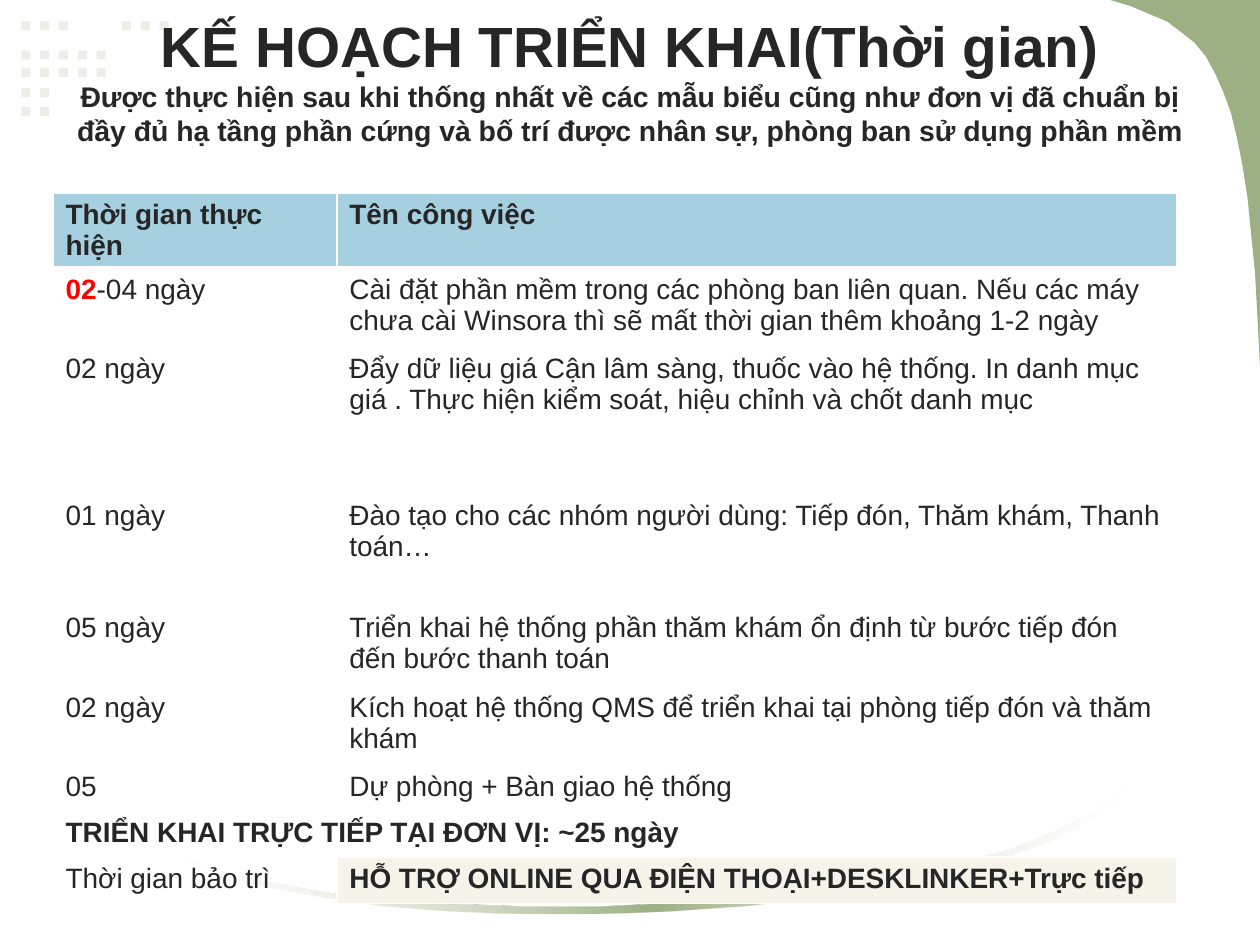
from dataclasses import dataclass

from lxml import etree
from pptx import Presentation
from pptx.dml.color import RGBColor
from pptx.enum.text import MSO_ANCHOR, MSO_AUTO_SIZE, PP_ALIGN
from pptx.enum.shapes import MSO_SHAPE
from pptx.oxml import parse_xml
from pptx.oxml.ns import nsdecls, qn
from pptx.util import Cm, Pt


@dataclass(frozen=True)
class Theme:
    """Colours and type sizes of the slide."""
    font: str = "Arial"
    text: str = "262626"
    alert: str = "FF0000"
    green: str = "9CB084"
    dot: str = "EBEFE6"
    header: str = "A6D0DF"
    support: str = "F6F3EA"
    white: str = "FFFFFF"
    title_size: float = 32.4
    subtitle_size: float = 16.2
    table_size: float = 16


THEME = Theme()

TITLE = "KẾ HOẠCH TRIỂN KHAI(Thời gian)"
SUBTITLE = ("Được thực hiện sau khi thống nhất về các mẫu biểu cũng như đơn vị đã chuẩn bị "
            "đầy đủ hạ tầng phần cứng và bố trí được nhân sự, phòng ban sử dụng phần mềm")

HEADER = ("Thời gian thực hiện", "Tên công việc")
# Duration, task, row height in cm
TASKS = [
    ("02-04 ngày", "Cài đặt phần mềm trong các phòng ban liên quan. Nếu các máy "
                   "chưa cài Winsora thì sẽ mất thời gian thêm khoảng 1-2 ngày", 1.6),
    ("02 ngày", "Đẩy dữ liệu giá Cận lâm sàng, thuốc vào hệ thống. In danh mục "
                "giá . Thực hiện kiểm soát, hiệu chỉnh và chốt danh mục", 2.95),
    ("01 ngày", "Đào tạo cho các nhóm người dùng: Tiếp đón, Thăm khám, Thanh toán…", 2.27),
    ("05 ngày", "Triển khai hệ thống phần thăm khám ổn định từ bước tiếp đón "
                "đến bước thanh toán", 1.6),
    ("02 ngày", "Kích hoạt hệ thống QMS để triển khai tại phòng tiếp đón và thăm khám", 1.6),
    ("05", "Dự phòng + Bàn giao hệ thống", 0.93),
]
TOTAL = "TRIỂN KHAI TRỰC TIẾP TẠI ĐƠN VỊ: ~25 ngày"
SUPPORT = ("Thời gian bảo trì", "HỖ TRỢ ONLINE QUA ĐIỆN THOẠI+DESKLINKER+Trực tiếp")
HEADER_HEIGHT, LINE_HEIGHT = 1.45, 0.93
COLUMN_WIDTHS = (5.72, 16.94)

# Dot runs: left, top, count (cm)
DOT_RUNS = [(0.43, 0.43, 3), (2.46, 0.43, 3), (0.43, 1.02, 5),
            (0.43, 1.37, 5), (0.43, 1.78, 2), (0.43, 2.16, 2)]
DOT_SIZE, DOT_STEP = 0.18, 0.38

CORNER = [(22.38, 0), (25.4, 0), (25.4, 7.39), (25.35, 6.4), (25.3, 5.5), (25.22, 4.7),
          (25.15, 3.99), (25.05, 3.35), (24.94, 2.79), (24.82, 2.29), (24.66, 1.85),
          (24.49, 1.47), (24.31, 1.14), (24.08, 0.86), (23.8, 0.64), (23.52, 0.43),
          (23.16, 0.28), (22.81, 0.13)]
SWOOSH_LOWER = [(22.66, 16.05), (22.02, 16.51), (21.21, 16.94), (20.19, 17.32),
                (19.05, 17.63), (17.78, 17.88), (16.41, 18.11), (14.96, 18.26),
                (13.49, 18.36), (11.99, 18.42), (10.52, 18.42), (9.07, 18.36),
                (7.72, 18.26), (6.48, 18.08), (5.33, 17.88), (4.37, 17.63), (3.61, 17.32)]
SWOOSH_UPPER = [(3.61, 17.25), (4.39, 17.55), (5.38, 17.78), (6.53, 17.98), (7.8, 18.14),
                (9.17, 18.21), (10.59, 18.26), (12.09, 18.26), (13.56, 18.19),
                (15.06, 18.08), (16.48, 17.93), (17.86, 17.7), (19.13, 17.45),
                (20.27, 17.15), (21.26, 16.76), (22.05, 16.36), (22.66, 15.88)]


def paint(shape, color):
    """Give a shape a flat fill without outline or shadow."""
    shape.shadow.inherit = False
    shape.fill.solid()
    shape.fill.fore_color.rgb = RGBColor.from_string(color)
    shape.line.fill.background()


def add_outline(slide, points, color):
    """Draw a closed polygon through points in cm."""
    corners = [(Cm(x), Cm(y)) for x, y in points]
    builder = slide.shapes.build_freeform(*corners[0])
    builder.add_line_segments(corners[1:], close=True)
    shape = builder.convert_to_shape()
    paint(shape, color)
    return shape


def fade_ends(shape):
    """Replace the flat fill by a gradient that fades at both ends."""
    stops = "".join(
        f'<a:gs pos="{pos}"><a:srgbClr val="{color}"><a:alpha val="{alpha}"/></a:srgbClr></a:gs>'
        for pos, color, alpha in [(0, THEME.white, 30000), (50000, THEME.green, 100000),
                                  (100000, THEME.white, 30000)])
    gradient = parse_xml(f'<a:gradFill {nsdecls("a")}><a:gsLst>{stops}</a:gsLst>'
                         '<a:lin ang="0" scaled="0"/></a:gradFill>')
    properties = shape.element.spPr
    properties.replace(properties.find(qn("a:solidFill")), gradient)


def add_decor(slide):
    """Draw the dots, the corner and the swoosh."""
    for left, top, count in DOT_RUNS:
        for i in range(count):
            dot = slide.shapes.add_shape(MSO_SHAPE.RECTANGLE, Cm(left + i * DOT_STEP), Cm(top),
                                         Cm(DOT_SIZE), Cm(DOT_SIZE))
            paint(dot, THEME.dot)
    add_outline(slide, CORNER, THEME.green)
    fade_ends(add_outline(slide, SWOOSH_LOWER + SWOOSH_UPPER, THEME.green))


def add_run(paragraph, text, size, bold=False, color=THEME.text):
    """Append one formatted run."""
    run = paragraph.add_run()
    run.text = text
    run.font.name, run.font.size, run.font.bold = THEME.font, Pt(size), bold
    run.font.color.rgb = RGBColor.from_string(color)


def set_title(slide):
    """Place the title and its subtitle line in front of the decoration."""
    title = slide.shapes.title
    title.element.getparent().append(title.element)
    title.left, title.top, title.width, title.height = Cm(1.27), Cm(0), Cm(22.86), Cm(3.18)
    frame = title.text_frame
    frame.word_wrap, frame.auto_size = True, MSO_AUTO_SIZE.NONE
    frame.vertical_anchor = MSO_ANCHOR.MIDDLE
    paragraph = frame.paragraphs[0]
    paragraph.alignment = PP_ALIGN.CENTER
    add_run(paragraph, TITLE, THEME.title_size, bold=True)
    paragraph.add_line_break()
    add_run(paragraph, SUBTITLE, THEME.subtitle_size, bold=True)


def set_borders(cell, top, bottom):
    """Draw white borders; top and bottom widths are in points."""
    for side, width in (("L", 1), ("R", 1), ("T", top), ("B", bottom)):
        line = etree.SubElement(cell._tc.get_or_add_tcPr(), qn(f"a:ln{side}"), w=str(Pt(width)))
        fill = etree.SubElement(line, qn("a:solidFill"))
        etree.SubElement(fill, qn("a:srgbClr"), val=THEME.white)


def fill_cell(cell, runs, fill=None):
    """Write (text, bold, colour) runs and set the cell background."""
    if fill:
        cell.fill.solid()
        cell.fill.fore_color.rgb = RGBColor.from_string(fill)
    else:
        cell.fill.background()
    for text, bold, color in runs:
        add_run(cell.text_frame.paragraphs[0], text, THEME.table_size, bold, color)


def plain(text, bold=False):
    """Return a run list in the standard text colour."""
    return [(text, bold, THEME.text)]


def add_schedule(slide):
    """Build the schedule table."""
    rows = [[plain(text, True) for text in HEADER]]
    rows += [[plain(duration), plain(task)] for duration, task, _ in TASKS]
    rows += [[plain(TOTAL, True), []], [plain(SUPPORT[0]), plain(SUPPORT[1], True)]]
    first = TASKS[0][0]
    rows[1][0] = [(first[:2], True, THEME.alert)] + plain(first[2:])
    heights = [HEADER_HEIGHT, *(task[2] for task in TASKS), LINE_HEIGHT, LINE_HEIGHT]
    last = len(rows) - 1
    fills = {(0, 0): THEME.header, (0, 1): THEME.header, (last, 1): THEME.support}

    table = slide.shapes.add_table(len(rows), 2, Cm(1.07), Cm(3.89),
                                   Cm(sum(COLUMN_WIDTHS)), Cm(sum(heights))).table
    table.first_row = table.horz_banding = False
    for column, width in zip(table.columns, COLUMN_WIDTHS):
        column.width = Cm(width)
    for r, (row, height) in enumerate(zip(rows, heights)):
        table.rows[r].height = Cm(height)
        for c, runs in enumerate(row):
            cell = table.cell(r, c)
            set_borders(cell, top=3 if r == 1 else 1, bottom=3 if r == 0 else 1)
            fill_cell(cell, runs, fills.get((r, c)))
    table.cell(last - 1, 0).merge(table.cell(last - 1, 1))


def main():
    """Build and save the slide."""
    deck = Presentation()
    deck.slide_width, deck.slide_height = Cm(25.4), Cm(19.05)
    slide = deck.slides.add_slide(deck.slide_layouts[5])
    add_decor(slide)
    set_title(slide)
    add_schedule(slide)
    deck.save("out.pptx")


main()
